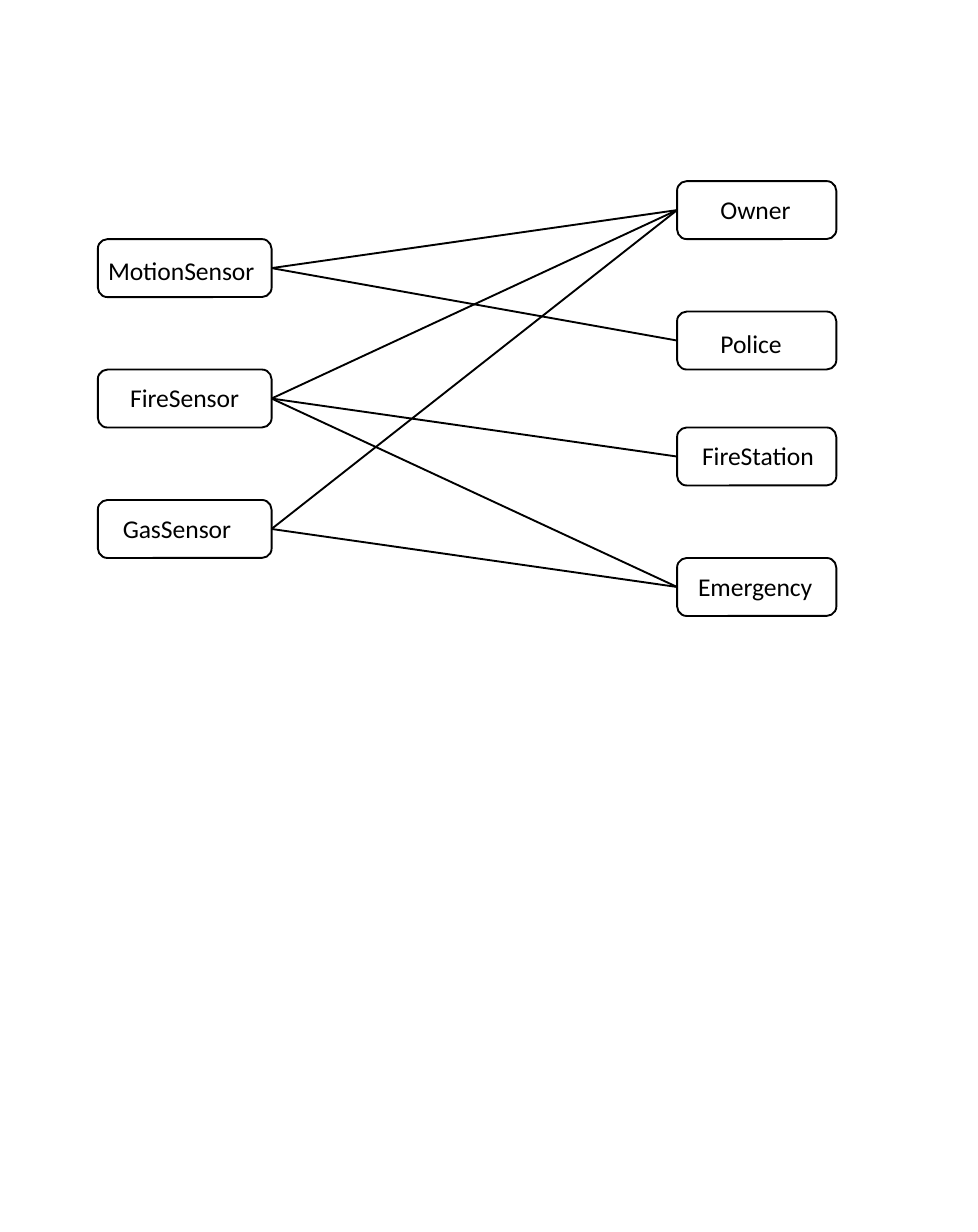
import pptx
import pptx.util
import pptx.dml.color
import pptx.enum.shapes
import pptx.enum.text
import pptx.oxml.ns
import lxml.etree

SLIDE_WIDTH, SLIDE_HEIGHT = 5.31, 6.69
SLIDE_ROWS = 85
COLUMNS, ROWS = 51, 30
NODE_ROWS = 4
INK = "000000"

SENSORS = {
    "MotionSensor": {"row": 4, "indent": 0.04, "drop": 0.03},
    "FireSensor": {"row": 13, "indent": 0.16},
    "GasSensor": {"row": 22, "indent": 0.12},
}
RECEIVERS = {
    "Owner": {"row": 0, "indent": 0.22},
    "Police": {"row": 9, "indent": 0.22, "drop": 0.04},
    "FireStation": {"row": 17, "indent": 0.12},
    "Emergency": {"row": 26, "indent": 0.1},
}
ALERTS = {
    "MotionSensor": ["Owner", "Police"],
    "FireSensor": ["Owner", "FireStation", "Emergency"],
    "GasSensor": ["Owner", "Emergency"],
}


def color(value):
    return pptx.dml.color.RGBColor.from_string(value)


def inches(value):
    return pptx.util.Inches(value)


def style_line(line):
    line.color.rgb = color(INK)
    line.width = pptx.util.Pt(0.75)


def write(frame, text, size=10, font="Calibri", ink=INK, indent=0, drop=0):
    frame.word_wrap = True
    frame.vertical_anchor = pptx.enum.text.MSO_ANCHOR.MIDDLE
    frame.margin_left, frame.margin_top = inches(indent), inches(drop)
    frame.margin_right, frame.margin_bottom = 0, inches(0.01)
    para = frame.paragraphs[0]
    para.alignment = pptx.enum.text.PP_ALIGN.LEFT
    span = para.add_run()
    span.text = text
    span.font.size = pptx.util.Pt(size)
    span.font.name = font
    span.font.color.rgb = color(ink)


def add_nodes(page, nodes, left, top, width, row_height):
    boxes = {}
    for label, place in nodes.items():
        box = page.shapes.add_shape(
            pptx.enum.shapes.MSO_SHAPE.FLOWCHART_ALTERNATE_PROCESS,
            inches(left), inches(top + place["row"] * row_height),
            inches(width), inches(NODE_ROWS * row_height))
        box.shadow.inherit = False
        box.fill.background()
        style_line(box.line)
        write(box.text_frame, label, indent=place["indent"], drop=place.get("drop", 0))
        boxes[label] = box
    return boxes


def add_alert(page, sensor, receiver):
    link = page.shapes.add_connector(
        pptx.enum.shapes.MSO_CONNECTOR.STRAIGHT, 0, 0, 0, 0)
    link.begin_connect(sensor, 3)
    link.end_connect(receiver, 1)
    style_line(link.line)
    lxml.etree.SubElement(link._element.spPr, pptx.oxml.ns.qn("a:effectLst"))


def add_diagram(page, left, top, width, height):
    column, row = width / COLUMNS, height / ROWS
    sensors = add_nodes(page, SENSORS, left, top, 12 * column, row)
    receivers = add_nodes(page, RECEIVERS, left + 40 * column, top, 11 * column, row)
    for sensor, targets in ALERTS.items():
        for target in targets:
            add_alert(page, sensors[sensor], receivers[target])


def main():
    deck = pptx.Presentation()
    deck.slide_width, deck.slide_height = inches(SLIDE_WIDTH), inches(SLIDE_HEIGHT)
    page = deck.slides.add_slide(deck.slide_layouts[6])
    row = SLIDE_HEIGHT / SLIDE_ROWS
    add_diagram(page, 0.1 * SLIDE_WIDTH, 12.5 * row, 4.01, ROWS * row)
    deck.save("out.pptx")


if __name__ == "__main__":
    main()
